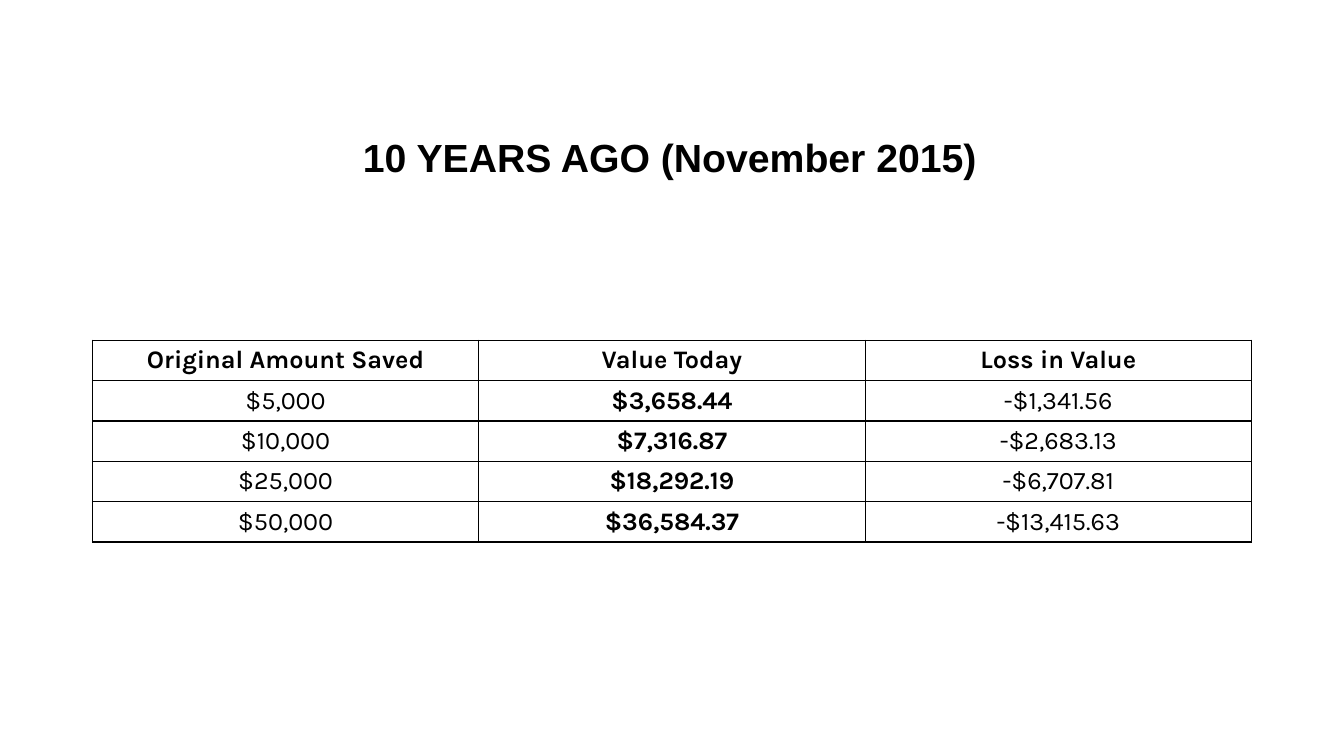
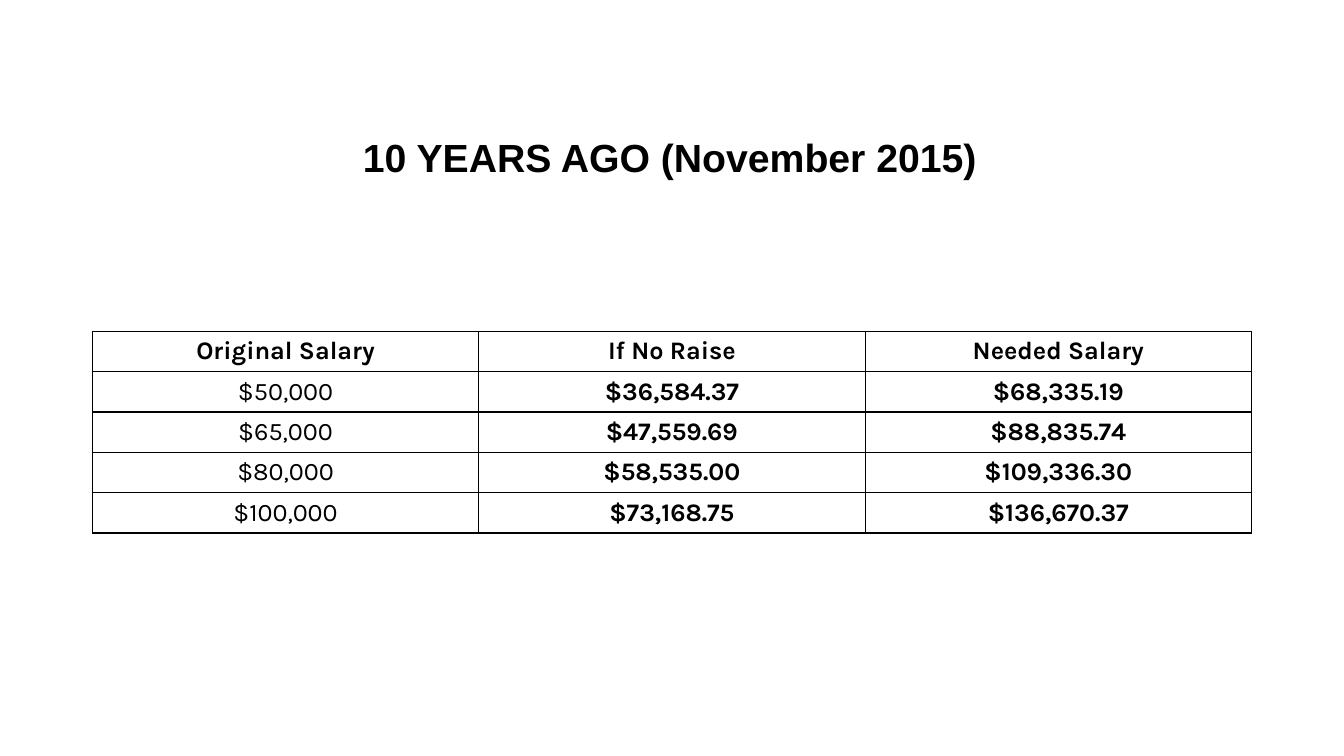
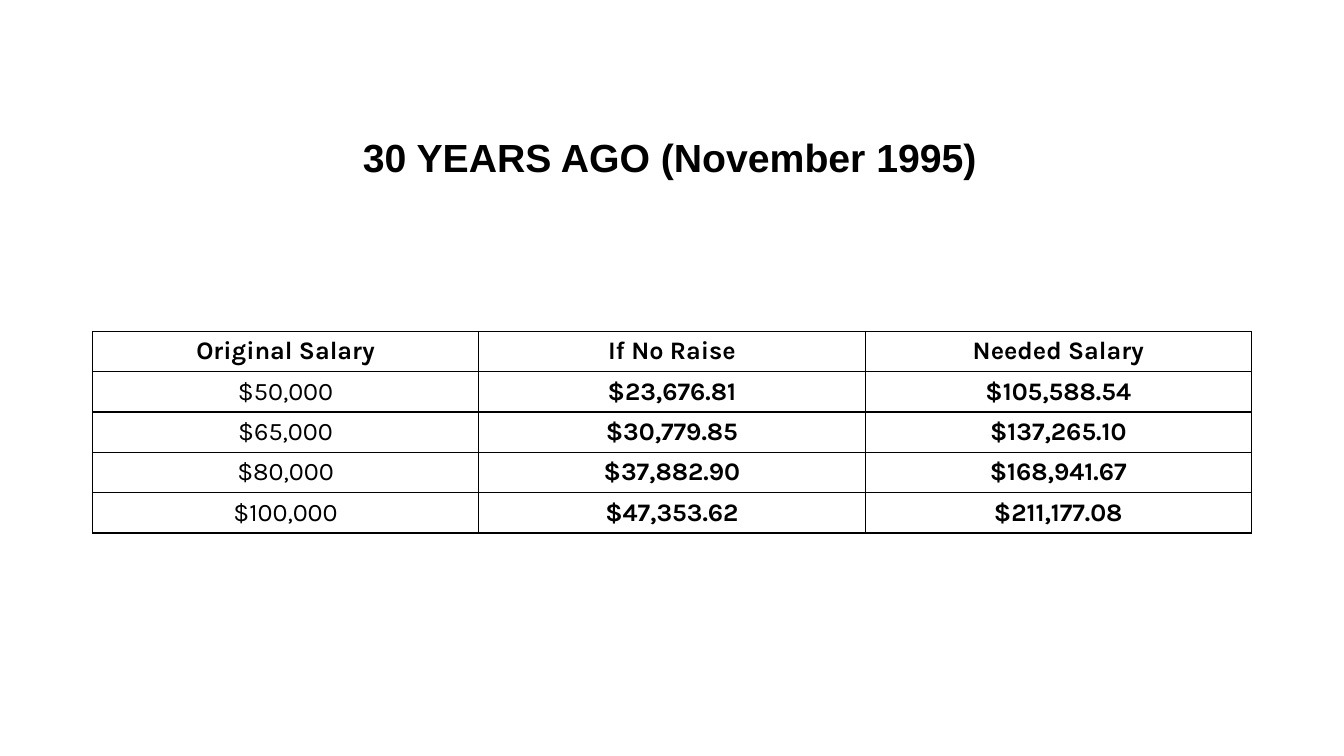
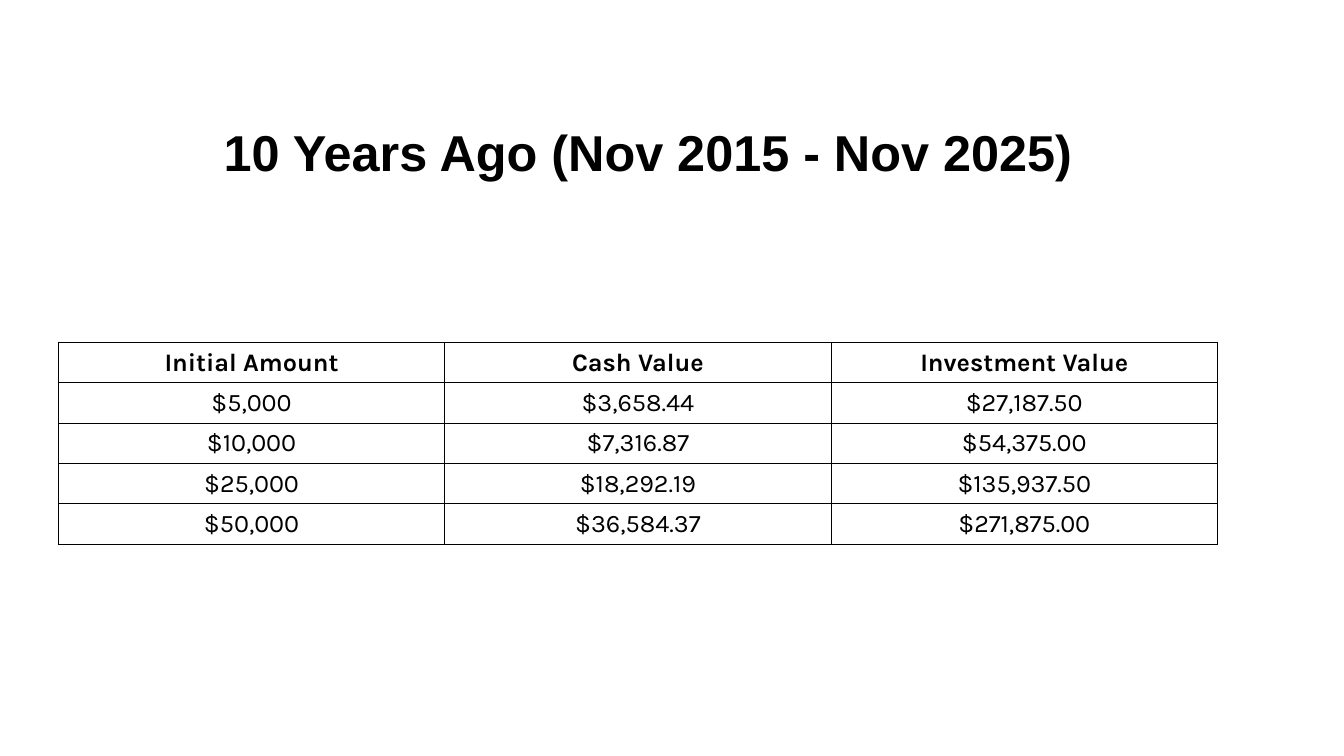
from lxml import etree
from pptx import Presentation
from pptx.dml.color import RGBColor
from pptx.enum import text
from pptx.oxml import ns
from pptx.util import Pt

# Shared style
COLORS = {"ink": "000000", "paper": "FFFFFF"}
INK = RGBColor.from_string(COLORS["ink"])
TITLE_FONT, TABLE_FONT = "Arial", "Karla"
COLUMN_WIDTH = 276
LINE_HEIGHT = 20.7  # one 18 pt line
SMALL_TITLE = {"box": (252, 91.4, 458, 41.2), "size": 28, "bottom": 3.6}
LARGE_TITLE = {"box": (152.6, 82.1, 626.4, 72.7), "size": 36, "bottom": 3.6 + LINE_HEIGHT}

# Content: bold_columns are the body columns set in bold
SALARY_HEADER = ("Original Salary", "If No Raise", "Needed Salary")
SLIDES = [
    {"title": "10 YEARS AGO (November 2015)", "style": SMALL_TITLE,
     "table_at": (66, 243), "row_height": 28.85, "bold_columns": {1},
     "rows": [("Original Amount Saved", "Value Today", "Loss in Value"),
              ("$5,000", "$3,658.44", "-$1,341.56"),
              ("$10,000", "$7,316.87", "-$2,683.13"),
              ("$25,000", "$18,292.19", "-$6,707.81"),
              ("$50,000", "$36,584.37", "-$13,415.63")]},
    {"title": "10 YEARS AGO (November 2015)", "style": SMALL_TITLE,
     "table_at": (66, 236.6), "row_height": 28.85, "bold_columns": {1, 2},
     "rows": [SALARY_HEADER,
              ("$50,000", "$36,584.37", "$68,335.19"),
              ("$65,000", "$47,559.69", "$88,835.74"),
              ("$80,000", "$58,535.00", "$109,336.30"),
              ("$100,000", "$73,168.75", "$136,670.37")]},
    {"title": "30 YEARS AGO (November 1995)", "style": SMALL_TITLE,
     "table_at": (66, 236.6), "row_height": 28.85, "bold_columns": {1, 2},
     "rows": [SALARY_HEADER,
              ("$50,000", "$23,676.81", "$105,588.54"),
              ("$65,000", "$30,779.85", "$137,265.10"),
              ("$80,000", "$37,882.90", "$168,941.67"),
              ("$100,000", "$47,353.62", "$211,177.08")]},
    {"title": "10 Years Ago (Nov 2015 - Nov 2025)", "style": LARGE_TITLE,
     "table_at": (41.7, 244.6), "row_height": 28.35, "bold_columns": set(),
     "rows": [("Initial Amount", "Cash Value", "Investment Value"),
              ("$5,000", "$3,658.44", "$27,187.50"),
              ("$10,000", "$7,316.87", "$54,375.00"),
              ("$25,000", "$18,292.19", "$135,937.50"),
              ("$50,000", "$36,584.37", "$271,875.00")]},
]


def set_font(paragraph, name, size, bold):
    font = paragraph.font
    font.name, font.size, font.bold = name, Pt(size), bold
    font.color.rgb = INK


def add_borders(cell):
    properties = cell._tc.get_or_add_tcPr()
    for side in ("a:lnL", "a:lnR", "a:lnT", "a:lnB"):
        line = etree.SubElement(properties, ns.qn(side), w=str(Pt(1)))
        fill = etree.SubElement(line, ns.qn("a:solidFill"))
        etree.SubElement(fill, ns.qn("a:srgbClr"), val=COLORS["ink"])


prs = Presentation()
prs.slide_width, prs.slide_height = Pt(960), Pt(540)
background = prs.slide_master.background.fill
background.solid()
background.fore_color.rgb = RGBColor.from_string(COLORS["paper"])

for content in SLIDES:
    slide = prs.slides.add_slide(prs.slide_layouts[5])

    # Title
    style = content["style"]
    title = slide.shapes.title
    title.left, title.top, title.width, title.height = map(Pt, style["box"])
    frame = title.text_frame
    frame.text = content["title"]
    frame.word_wrap = False
    frame.auto_size = text.MSO_AUTO_SIZE.SHAPE_TO_FIT_TEXT
    frame.vertical_anchor = text.MSO_ANCHOR.MIDDLE
    frame.margin_bottom = Pt(style["bottom"])
    heading = frame.paragraphs[0]
    heading.alignment = text.PP_ALIGN.LEFT
    set_font(heading, TITLE_FONT, style["size"], True)

    # Table
    rows = content["rows"]
    left, top = content["table_at"]
    row_height = content["row_height"]
    table = slide.shapes.add_table(
        len(rows), len(rows[0]), Pt(left), Pt(top),
        Pt(COLUMN_WIDTH * len(rows[0])), Pt(row_height * len(rows))).table
    table.horz_banding = False
    for r, values in enumerate(rows):
        table.rows[r].height = Pt(row_height)
        for c, value in enumerate(values):
            cell = table.cell(r, c)
            cell.text = value
            cell.vertical_anchor = text.MSO_ANCHOR.MIDDLE
            amount = cell.text_frame.paragraphs[0]
            amount.alignment = text.PP_ALIGN.CENTER
            set_font(amount, TABLE_FONT, 18, r == 0 or c in content["bold_columns"])
            add_borders(cell)
            cell.fill.background()

prs.save("out.pptx")
